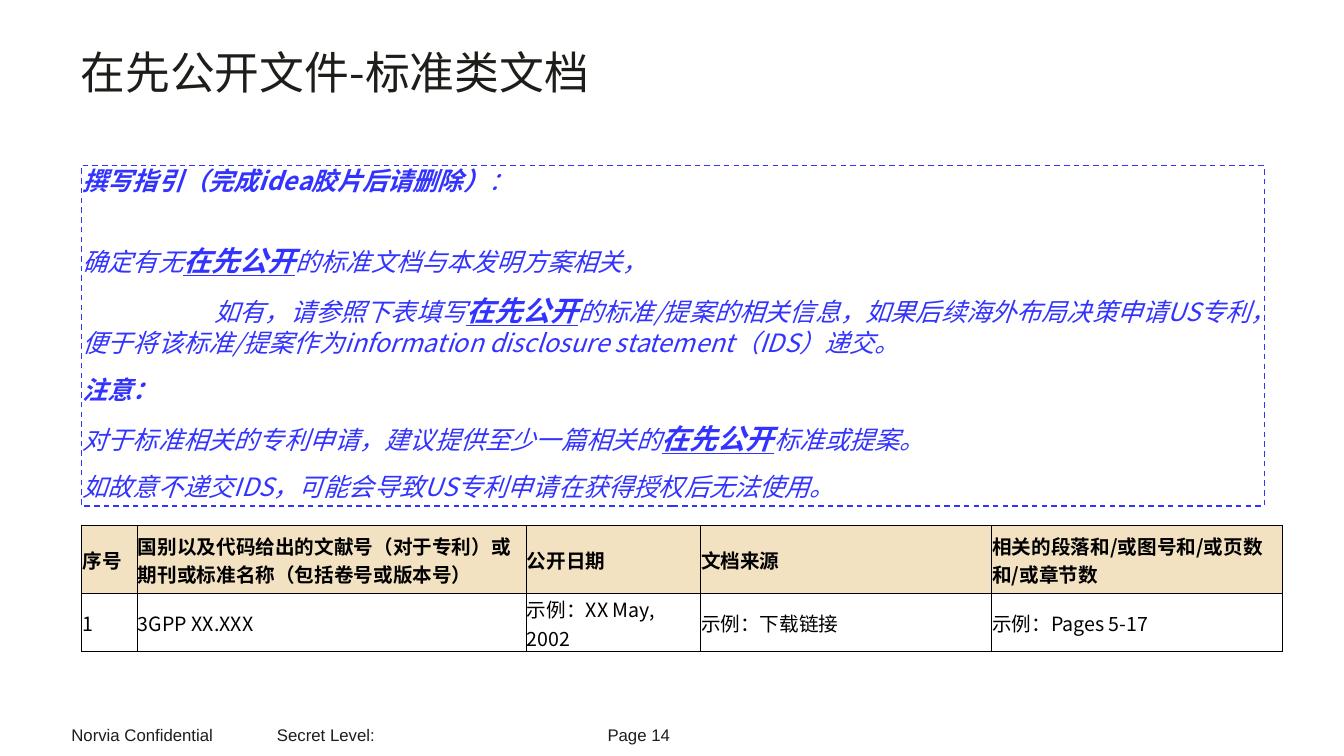
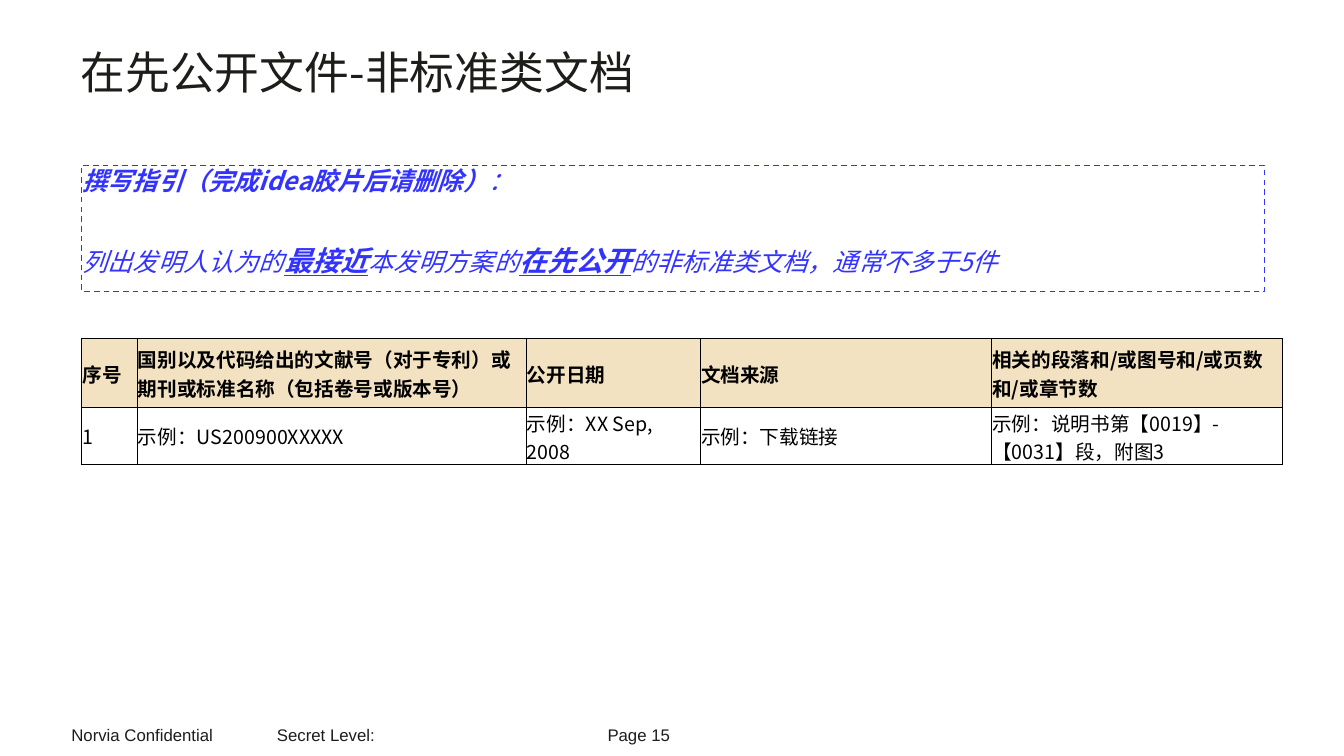
from lxml.etree import SubElement
from pptx import Presentation
from pptx.dml.color import RGBColor
from pptx.enum.dml import MSO_LINE
from pptx.enum.text import MSO_ANCHOR
from pptx.oxml.ns import qn
from pptx.util import Inches, Pt

INK = RGBColor(0x1D, 0x1D, 0x1A)
FOOTER_INK = RGBColor(0x1D, 0x1D, 0x1B)
GUIDE_BLUE = RGBColor(0x33, 0x33, 0xFF)
BLACK = RGBColor(0, 0, 0)
HEADER_FILL = RGBColor(0xF2, 0xE2, 0xC2)
CJK_FONT = "Noto Sans CJK SC"
FOOTER_FONT = "Arial"

PLAIN, BOLD, KEY = "plain", "bold", "key"
INDENT = 0.01
FIRST_LINE_INDENT = 1.31
LEFT = 0.81
COLUMN_WIDTHS = [0.55, 3.86, 1.73, 2.89, 2.89]
ROW_HEIGHTS = [0.68, 0.57]
HEADERS = [
    "序号",
    "国别以及代码给出的文献号（对于专利）或\v期刊或标准名称（包括卷号或版本号）",
    "公开日期",
    "文档来源",
    "相关的段落和/或图号和/或页数和/或章节数",
]

# Each guide paragraph: space before in points, first-line indent, spans.
GUIDE_HEADING = (0, 0, [("撰写指引（完成idea胶片后请删除）", BOLD), ("：", PLAIN)])
SLIDES = [
    {
        "title": "在先公开文件-标准类文档",
        "page": 14,
        "guide_height": 3.38,
        "guide": [
            GUIDE_HEADING,
            (34, 0, [("确定有无", PLAIN), ("在先公开", KEY),
                     ("的标准文档与本发明方案相关，", PLAIN)]),
            (12, FIRST_LINE_INDENT, [
                ("如有，请参照下表填写", PLAIN), ("在先公开", KEY),
                ("的标准/提案的相关信息，如果后续海外布局决策申请US专利，便于将该标准/提案作为"
                 "information disclosure statement（IDS）递交。", PLAIN)]),
            (12, 0, [("注意：", BOLD)]),
            (12, 0, [("对于标准相关的专利申请，建议提供至少一篇相关的", PLAIN),
                     ("在先公开", KEY), ("标准或提案。", PLAIN)]),
            (12, 0, [("如故意不递交IDS，可能会导致US专利申请在获得授权后无法使用。", PLAIN)]),
        ],
        "table_top": 5.21,
        "example": ["1", "3GPP XX.XXX", "示例：XX May, 2002", "示例：下载链接",
                    "示例：Pages 5-17"],
    },
    {
        "title": "在先公开文件-非标准类文档",
        "page": 15,
        "guide_height": 1.25,
        "guide": [
            GUIDE_HEADING,
            (34, 0, [("列出发明人认为的", PLAIN), ("最接近", KEY), ("本发明方案的", PLAIN),
                     ("在先公开", KEY), ("的非标准类文档，通常不多于5件", PLAIN)]),
        ],
        "table_top": 3.36,
        "example": ["1", "示例：US200900XXXXX", "示例：XX Sep, 2008", "示例：下载链接",
                    "示例：说明书第【0019】-【0031】段，附图3"],
    },
]


def style_paragraph(para, size, color, name=CJK_FONT, bold=False, italic=False):
    """Set the paragraph font, for East Asian text as well as Latin."""
    font = para.font
    font.size, font.bold, font.italic = Pt(size), bold, italic
    font.color.rgb = color
    font.name = name
    defaults = para._p.pPr.find(qn("a:defRPr"))
    SubElement(defaults, qn("a:ea"), typeface=name)


def add_box(slide, left, top, width, height, inset=True):
    box = slide.shapes.add_textbox(*map(Inches, (left, top, width, height)))
    frame = box.text_frame
    frame.word_wrap = True
    if not inset:
        frame.margin_left = frame.margin_right = 0
        frame.margin_top = frame.margin_bottom = 0
    return box


def add_title(slide, text):
    para = add_box(slide, 0.8, 0.5, 11.75, 1.09, inset=False).text_frame.paragraphs[0]
    para.text = text
    para.line_spacing = Pt(34.3)
    style_paragraph(para, 32, INK)


def add_footer(slide, page):
    for text, left, top, width, height, inset in [
        ("Norvia Confidential", 0.61, 7.14, 2.19, 0.3, True),
        ("Secret Level:", 2.65, 7.14, 2.19, 0.3, True),
        (f"Page {page}", 6.03, 7.19, 0.75, 0.2, False),
    ]:
        para = add_box(slide, left, top, width, height, inset).text_frame.paragraphs[0]
        para.text = text
        style_paragraph(para, 12, FOOTER_INK, FOOTER_FONT)


def add_guide(slide, height, paragraphs):
    box = add_box(slide, LEFT, 1.64, 11.74, height, inset=False)
    box.line.color.rgb = GUIDE_BLUE
    box.line.width = Pt(1)
    box.line.dash_style = MSO_LINE.DASH
    frame = box.text_frame
    for index, (space, first_indent, spans) in enumerate(paragraphs):
        para = frame.add_paragraph() if index else frame.paragraphs[0]
        para.space_before = Pt(space)
        properties = para._p.get_or_add_pPr()
        properties.set("marL", str(Inches(INDENT)))
        properties.set("indent", str(Inches(first_indent)))
        style_paragraph(para, 18, GUIDE_BLUE, italic=True)
        for text, style in spans:
            span = para.add_run()
            span.text = text
            if style != PLAIN:
                span.font.bold = True
            if style == KEY:
                span.font.size = Pt(20)
                span.font.underline = True


def set_borders(cell, **widths):
    """Draw black borders; widths maps L, R, T and B to points."""
    properties = cell._tc.get_or_add_tcPr()
    for side, width in widths.items():
        line = SubElement(properties, qn(f"a:ln{side}"), w=str(Pt(width)))
        fill = SubElement(line, qn("a:solidFill"))
        SubElement(fill, qn("a:srgbClr"), val=str(BLACK))


def add_reference_table(slide, top, example):
    rows = [HEADERS, example]
    table = slide.shapes.add_table(
        len(rows), len(HEADERS), Inches(LEFT), Inches(top),
        Inches(sum(COLUMN_WIDTHS)), Inches(sum(ROW_HEIGHTS))).table
    table.first_row = table.horz_banding = False
    for column, width in zip(table.columns, COLUMN_WIDTHS):
        column.width = Inches(width)
    last = len(HEADERS) - 1
    for r, texts in enumerate(rows):
        is_header = r == 0
        table.rows[r].height = Inches(ROW_HEIGHTS[r])
        for c, text in enumerate(texts):
            cell = table.cell(r, c)
            cell.vertical_anchor = MSO_ANCHOR.MIDDLE
            cell.margin_left = cell.margin_right = cell.margin_top = Inches(0.01)
            cell.margin_bottom = 0
            set_borders(cell, L=1 if c == 0 else 0.5, R=1 if c == last else 0.5,
                        T=1 if is_header else 0.5, B=0.5)
            if is_header:
                cell.fill.solid()
                cell.fill.fore_color.rgb = HEADER_FILL
            else:
                cell.fill.background()
            para = cell.text_frame.paragraphs[0]
            para.text = text
            style_paragraph(para, 14, BLACK, bold=is_header)


def main():
    deck = Presentation()
    deck.slide_width, deck.slide_height = Inches(13.34), Inches(7.5)
    for content in SLIDES:
        slide = deck.slides.add_slide(deck.slide_layouts[6])
        add_footer(slide, content["page"])
        add_title(slide, content["title"])
        add_guide(slide, content["guide_height"], content["guide"])
        add_reference_table(slide, content["table_top"], content["example"])
    deck.save("out.pptx")


if __name__ == "__main__":
    main()
